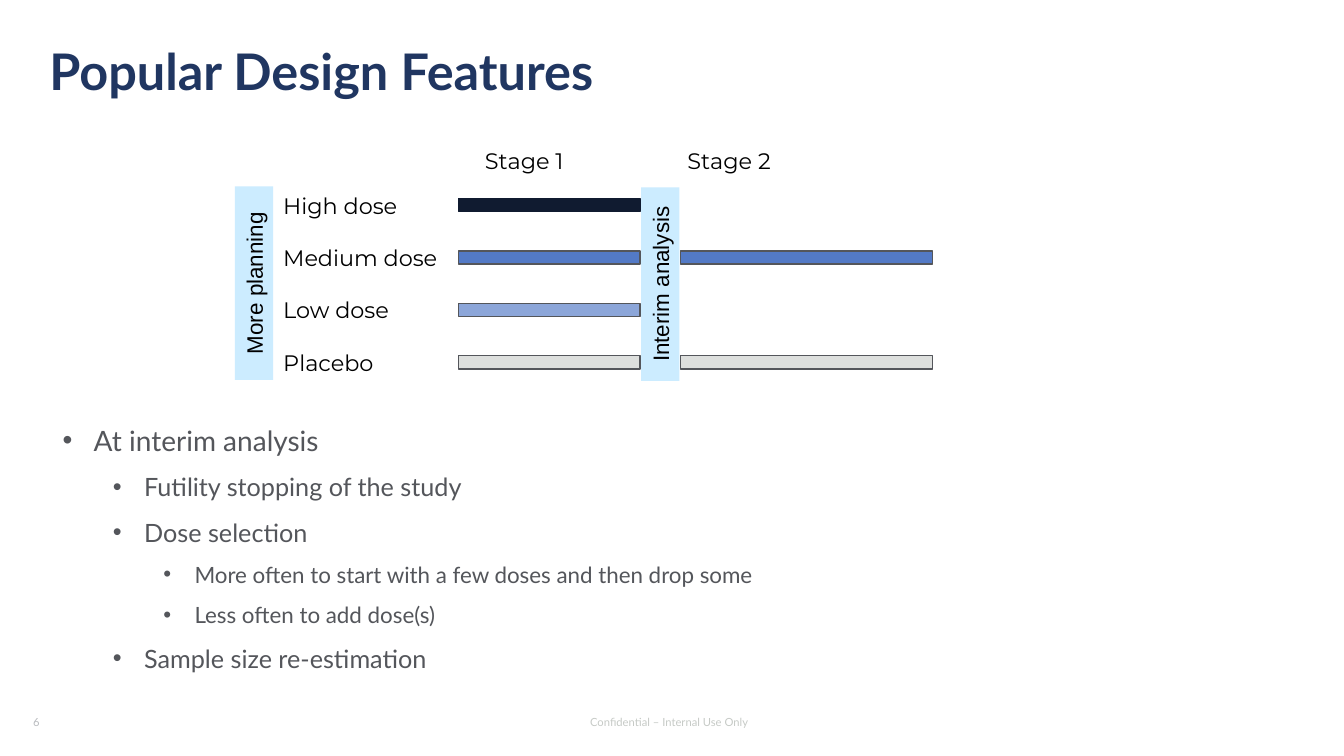
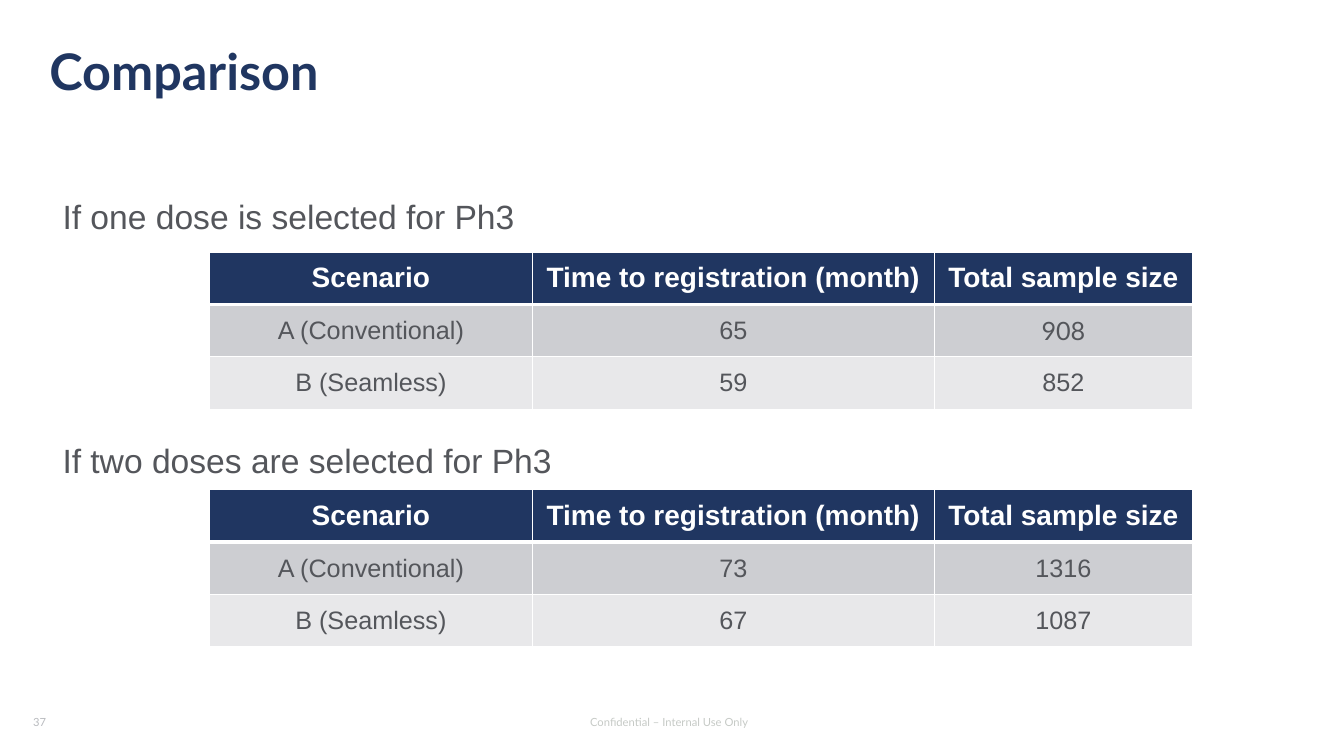
from dataclasses import dataclass
from typing import NamedTuple

from lxml.etree import SubElement
from pptx import Presentation
from pptx.dml.color import RGBColor
from pptx.enum.shapes import MSO_SHAPE as Preset
from pptx.enum.text import MSO_ANCHOR as Anchor, MSO_AUTO_SIZE as AutoSize, PP_ALIGN as Align
from pptx.oxml.ns import qn
from pptx.util import Inches, Pt

CELL = Inches(0.1)
SLIDE_COLS, SLIDE_ROWS = 133.33, 75


class Style(NamedTuple):
    font: str
    size: int
    color: str
    bold: bool = False


@dataclass(frozen=True)
class Theme:
    outline: str = "54565B"
    band: str = "CCECFF"
    navy: str = "203661"
    white: str = "FFFFFF"
    stripes: tuple[str, str] = ("CDCED2", "E8E8EA")
    title: Style = Style("Lato", 36, "203661", True)
    footer: Style = Style("Lato", 8, "C6CAC6")
    number: Style = Style("Lato", 8, "B9BBBF")
    bullets: tuple[Style, ...] = tuple(Style("Lato", size, "54565B") for size in (20, 18, 16))
    lead: Style = Style("Arial", 24, "54565B")
    label: Style = Style("Montserrat", 16, "000000")
    band_text: Style = Style("Arial", 16, "000000")
    head: Style = Style("Arial", 20, "FFFFFF", True)
    cell: Style = Style("Arial", 18, "54565B")
    cell_alternate: Style = Style("Lato", 18, "54565B")


class Box(NamedTuple):
    col: float
    row: float
    cols: float
    rows: float

    def emu(self) -> tuple[int, ...]:
        return tuple(round(length * CELL) for length in self)


class Arm(NamedTuple):
    label: str
    fill: str
    outline: str
    stages: int


class Bullet(NamedTuple):
    text: str
    level: int


class Scenario(NamedTuple):
    name: str
    months: str
    sample: str
    sample_style: Style


class Comparison(NamedTuple):
    lead: str
    row: float
    space_before: float
    scenarios: tuple[Scenario, ...]


THEME = Theme()
TITLE_BOX = Box(4.9, 4.7, 123.2, 5.3)
FOOTER_BOX = Box(51.4, 70, 30, 3.2)
NUMBER_BOX = Box(2.3, 70, 30, 3.2)

STAGES = (("Stage 1", 47.6, 45.5, 18), ("Stage 2", 67.7, 67.5, 25))
STAGE_CENTER = 15.9
ARM_CENTER, ARM_PITCH, BAR_ROWS = 20.35, 5.2, 1.3
ARMS = (
    Arm("High dose", "101B30", "101B30", 1),
    Arm("Medium dose", "537AC6", THEME.outline, 2),
    Arm("Low dose", "8CA6D9", THEME.outline, 1),
    Arm("Placebo", "DDDFDD", THEME.outline, 2),
)
BANDS = (
    ("Interim analysis", Box(63.6, 18.6, 3.8, 19.2)),
    ("More planning", Box(23.3, 18.5, 3.8, 19.2)),
)
BULLETS = (
    Bullet("At interim analysis", 0),
    Bullet("Futility stopping of the study", 1),
    Bullet("Dose selection", 1),
    Bullet("More often to start with a few doses and then drop some", 2),
    Bullet("Less often to add dose(s)", 2),
    Bullet("Sample size re-estimation", 1),
)

HEADINGS = ("Scenario", "Time to registration (month)", "Total sample size")
TABLE_COLS, TABLE_ROW = (32, 39.9, 25.6), 5.2
COMPARISONS = (
    Comparison("If one dose is selected for Ph3", 25, 0, (
        Scenario("A (Conventional)", "65", "908", THEME.cell_alternate),
        Scenario("B (Seamless)", "59", "852", THEME.cell),
    )),
    Comparison("If two doses are selected for Ph3", 48.6, 131, (
        Scenario("A (Conventional)", "73", "1316", THEME.cell),
        Scenario("B (Seamless)", "67", "1087", THEME.cell),
    )),
)


def rgb(color: str) -> RGBColor:
    return RGBColor.from_string(color)


def write(paragraph, text: str, style: Style, align=Align.LEFT) -> None:
    paragraph.text = text
    paragraph.alignment = align
    font = paragraph.font
    font.name, font.size, font.bold = style.font, Pt(style.size), style.bold
    font.color.rgb = rgb(style.color)


def place(shape, box: Box) -> None:
    shape.left, shape.top, shape.width, shape.height = box.emu()


def add_text(slide, box: Box, text: str, style: Style, align=Align.LEFT, inset: float = 0.1) -> None:
    frame = slide.shapes.add_textbox(*box.emu()).text_frame
    frame.word_wrap = True
    frame.vertical_anchor = Anchor.MIDDLE
    frame.margin_left = frame.margin_right = Inches(inset)
    write(frame.paragraphs[0], text, style, align)


def add_rect(slide, box: Box, fill: str, outline: str | None = None):
    rect = slide.shapes.add_shape(Preset.RECTANGLE, *box.emu())
    rect.shadow.inherit = False
    rect.fill.solid()
    rect.fill.fore_color.rgb = rgb(fill)
    if outline:
        rect.line.color.rgb = rgb(outline)
        rect.line.width = Pt(1)
    else:
        rect.line.fill.background()
    return rect


def add_band(slide, text: str, box: Box) -> None:
    frame = add_rect(slide, box, THEME.band).text_frame
    frame.word_wrap = False
    frame.vertical_anchor = Anchor.MIDDLE
    frame._txBody.bodyPr.set("vert", "vert270")
    write(frame.paragraphs[0], text, THEME.band_text, Align.CENTER)
    frame.paragraphs[0].space_before = Pt(3.2)


def add_slide(deck, title: str, number: int):
    slide = deck.slides.add_slide(deck.slide_layouts[1])
    heading = slide.shapes.title
    place(heading, TITLE_BOX)
    frame = heading.text_frame
    frame.margin_left = frame.margin_right = frame.margin_top = frame.margin_bottom = 0
    frame.vertical_anchor = Anchor.TOP
    frame.auto_size = AutoSize.NONE
    write(frame.paragraphs[0], title, THEME.title)
    frame.paragraphs[0].line_spacing = 0.9
    add_text(slide, FOOTER_BOX, "Confidential – Internal Use Only", THEME.footer, Align.CENTER)
    add_text(slide, NUMBER_BOX, str(number), THEME.number)
    return slide


def body_frame(slide, box: Box):
    body = slide.placeholders[1]
    place(body, box)
    body.text_frame.auto_size = AutoSize.NONE
    return body.text_frame


def add_item(frame, index: int, text: str, style: Style, level: int | None = None,
             space_before: float = 0) -> None:
    paragraph = frame.add_paragraph() if index else frame.paragraphs[0]
    properties = paragraph._p.get_or_add_pPr()
    bulleted = level is not None
    properties.set("marL", str(Inches(0.31 + 0.5 * level) if bulleted else 0))
    properties.set("indent", str(Inches(-0.31) if bulleted else 0))
    if bulleted:
        paragraph.level = level
        SubElement(properties, qn("a:buFont"), typeface="Arial")
        SubElement(properties, qn("a:buChar"), char="•")
    else:
        SubElement(properties, qn("a:buNone"))
    paragraph.line_spacing = 1.5
    paragraph.space_before = Pt(space_before)
    write(paragraph, text, style)


def add_arm(slide, index: int, arm: Arm) -> None:
    center = ARM_CENTER + index * ARM_PITCH
    add_text(slide, Box(27.6, center - 2.35, 18.1, 4.7), arm.label, THEME.label, inset=0.05)
    for _, _, bar_col, bar_cols in STAGES[:arm.stages]:
        add_rect(slide, Box(bar_col, center - BAR_ROWS / 2, bar_cols, BAR_ROWS), arm.fill, arm.outline)


def format_cell(cell, text: str, style: Style, fill: str, top: int, bottom: int) -> None:
    properties = cell._tc.get_or_add_tcPr()
    for side, width in (("L", 1), ("R", 1), ("T", top), ("B", bottom)):
        edge = SubElement(properties, qn(f"a:ln{side}"), w=str(Pt(width)))
        SubElement(SubElement(edge, qn("a:solidFill")), qn("a:srgbClr"), val=THEME.white)
    cell.fill.solid()
    cell.fill.fore_color.rgb = rgb(fill)
    cell.vertical_anchor = Anchor.MIDDLE
    write(cell.text_frame.paragraphs[0], text, style, Align.CENTER)


def add_comparison(slide, comparison: Comparison) -> None:
    row_count = len(comparison.scenarios) + 1
    box = Box(20.8, comparison.row, sum(TABLE_COLS), row_count * TABLE_ROW)
    table = slide.shapes.add_table(row_count, len(HEADINGS), *box.emu()).table
    for column, cols in zip(table.columns, TABLE_COLS):
        column.width = round(cols * CELL)
    for col, heading in enumerate(HEADINGS):
        format_cell(table.cell(0, col), heading, THEME.head, THEME.navy, 1, 3)
    for row, scenario in enumerate(comparison.scenarios, 1):
        values = (scenario.name, scenario.months, scenario.sample)
        styles = (THEME.cell, THEME.cell, scenario.sample_style)
        for col, (value, style) in enumerate(zip(values, styles)):
            format_cell(table.cell(row, col), value, style, THEME.stripes[row - 1], 3 if row == 1 else 1, 1)


def build_design_features(deck) -> None:
    slide = add_slide(deck, "Popular Design Features", 6)
    for stage, label_col, _, _ in STAGES:
        add_text(slide, Box(label_col, STAGE_CENTER - 2.35, 12.6, 4.7), stage, THEME.label, inset=0.05)
    for index, arm in enumerate(ARMS):
        add_arm(slide, index, arm)
    for text, box in BANDS:
        add_band(slide, text, box)
    frame = body_frame(slide, Box(5.2, 39.8, 123.1, 27.2))
    for index, (text, level) in enumerate(BULLETS):
        add_item(frame, index, text, THEME.bullets[level], level)


def build_comparison(deck) -> None:
    slide = add_slide(deck, "Comparison", 37)
    frame = body_frame(slide, Box(5.2, 16.9, 123.1, 30.6))
    for index, comparison in enumerate(COMPARISONS):
        add_item(frame, index, comparison.lead, THEME.lead, space_before=comparison.space_before)
        add_comparison(slide, comparison)


def main() -> None:
    deck = Presentation()
    deck.slide_width, deck.slide_height = round(SLIDE_COLS * CELL), SLIDE_ROWS * CELL
    build_design_features(deck)
    build_comparison(deck)
    deck.save("out.pptx")


if __name__ == "__main__":
    main()
